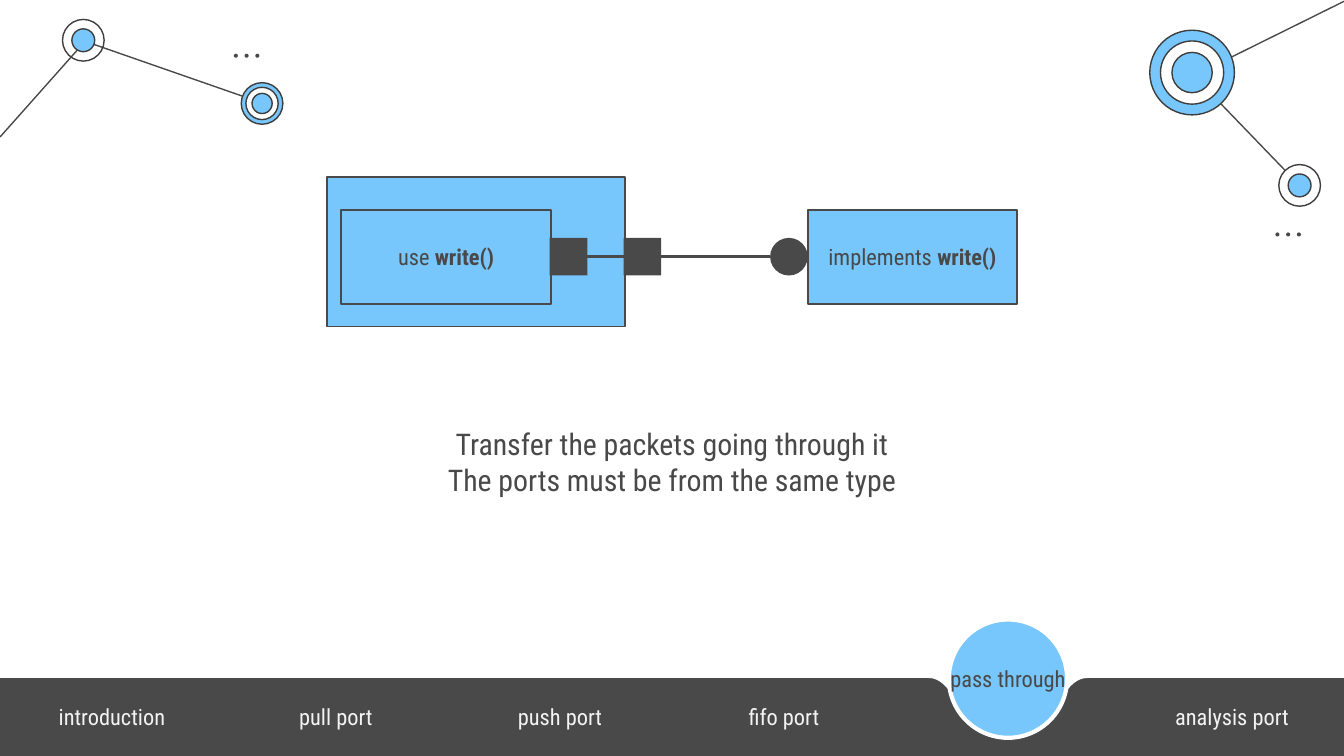
from pptx import Presentation
from pptx.dml.color import RGBColor
from pptx.enum.shapes import MSO_CONNECTOR, MSO_SHAPE
from pptx.enum.text import MSO_ANCHOR, MSO_AUTO_SIZE, PP_ALIGN
from pptx.oxml.ns import qn
from pptx.util import Inches, Pt
from lxml.etree import SubElement

COLORS = {k: RGBColor.from_string(v) for k, v in {
    "dark": "494949", "ring": "3D3D3D", "blue": "77C6FC",
    "white": "FFFFFF", "nav": "F3F3F3"}.items()}
FONT = "Roboto Condensed"

prs = Presentation()
prs.slide_width, prs.slide_height = Inches(10), Inches(5.625)
s = prs.slides.add_slide(prs.slide_layouts[1])
s.shapes.title._element.getparent().remove(s.shapes.title._element)


def paint(sp, fill=None, line=None, width=0.75):
    sp.shadow.inherit = False
    if fill:
        sp.fill.solid()
        sp.fill.fore_color.rgb = COLORS[fill]
    else:
        sp.fill.background()
    if line:
        sp.line.color.rgb = COLORS[line]
        sp.line.width = Pt(width)
    else:
        sp.line.fill.background()
    return sp


def write(p, runs, size, color):
    """Fill a centred paragraph from (text, bold) pairs."""
    p.alignment = PP_ALIGN.CENTER
    for text, bold in runs:
        r = p.add_run()
        r.text = text
        r.font.color.rgb = COLORS[color]
        for name, value in {"name": FONT, "size": Pt(size), "bold": bold}.items():
            setattr(r.font, name, value)


# Network decoration: links, ringed nodes, dotted marks
links = []
for ends in ((9.67, 1.38, 8.87, 0.55), (0.64, 0.31, 1.96, 0.77),
             (0, 1.02, 0.64, 0.3), (10, 0.01, 8.91, 0.55)):
    cx = s.shapes.add_connector(MSO_CONNECTOR.STRAIGHT, *map(Inches, ends))
    links.append((cx, 0.75))

nodes = (
    (0.62, 0.3, ((0.31, None), (0.17, "blue"))),
    (1.95, 0.77, ((0.31, "blue"), (0.24, "white"), (0.15, "blue"))),
    (8.87, 0.54, ((0.63, "blue"), (0.47, "white"), (0.3, "blue"))),
    (9.67, 1.38, ((0.31, "white"), (0.17, "blue"))),
)
for x, y, rings in nodes:
    for d, fill in rings:
        box = map(Inches, (x - d / 2, y - d / 2, d, d))
        paint(s.shapes.add_shape(MSO_SHAPE.OVAL, *box), fill, "ring")

for x, y in ((1.74, 0.4), (9.49, 1.73)):
    for i in range(3):
        box = map(Inches, (x + 0.08 * i, y, 0.03, 0.03))
        paint(s.shapes.add_shape(MSO_SHAPE.OVAL, *box), "dark")

# Navigation bar with a notch around the current section
col, bar_h = prs.slide_width / 6, Inches(0.58)
bar_top = prs.slide_height - bar_h
paint(s.shapes.add_shape(MSO_SHAPE.RECTANGLE, 0, bar_top, prs.slide_width, bar_h), "dark")

ctrl = ((0.42, 0.12), (0.47, 0.04), (0.53, 0), (0.59, 0))
curve = []
for i in range(13):
    t = i / 12
    weights = ((1 - t) ** 3, 3 * t * (1 - t) ** 2, 3 * t ** 2 * (1 - t), t ** 3)
    curve.append([sum(w * c[k] for w, c in zip(weights, ctrl)) for k in (0, 1)])
outline = [(0.59, 0), (0.34, 0), (0.34, 0.15), (0.41, 0.15)] + curve
for side in (-1, 1):
    pts = [(Inches(7.5 + side * x), bar_top + Inches(y)) for x, y in outline]
    fb = s.shapes.build_freeform(*pts[0], scale=1.0)
    fb.add_line_segments(pts[1:], close=True)
    paint(fb.convert_to_shape(), "white")
box = map(Inches, (7.06, 4.61, 0.88, 0.88))
paint(s.shapes.add_shape(MSO_SHAPE.OVAL, *box), "blue", "white", 2.25)

sections = ("introduction", "pull port", "push port", "fifo port",
            "pass through", "analysis port")
for i, name in enumerate(sections):
    current = name == "pass through"
    top = Inches(4.76) if current else bar_top
    tf = s.shapes.add_textbox(int(col * i), top, int(col), bar_h).text_frame
    tf.word_wrap, tf.vertical_anchor = True, MSO_ANCHOR.MIDDLE
    write(tf.paragraphs[0], [(name, False)], 12, "dark" if current else "nav")

# Explanation
body = s.placeholders[1]
body.left, body.top, body.width, body.height = map(Inches, (2.37, 3.07, 5.26, 1.24))
tf = body.text_frame
for name, value in {"auto_size": MSO_AUTO_SIZE.NONE, "vertical_anchor": MSO_ANCHOR.TOP,
                    "margin_top": Inches(0.1), "margin_bottom": Inches(0.1)}.items():
    setattr(tf, name, value)
for i, text in enumerate(("Transfer the packets going through it",
                          "The ports must be from the same type")):
    p = tf.add_paragraph() if i else tf.paragraphs[0]
    pPr = p._p.get_or_add_pPr()
    pPr.set("marL", "0")
    pPr.set("indent", "0")
    SubElement(pPr, qn("a:buNone"))
    p.space_before = Pt(0)
    write(p, [(text, False)], 16, "dark")

# Port diagram
box = map(Inches, (2.43, 1.32, 2.22, 1.11))
paint(s.shapes.add_shape(MSO_SHAPE.RECTANGLE, *box), "blue", "dark", 1)
for x, verb in ((2.54, "use "), (6.01, "implements ")):
    box = map(Inches, (x, 1.56, 1.56, 0.7))
    sp = paint(s.shapes.add_shape(MSO_SHAPE.RECTANGLE, *box), "blue", "dark", 1)
    sp.text_frame.vertical_anchor = MSO_ANCHOR.MIDDLE
    write(sp.text_frame.paragraphs[0], [(verb, False), ("write()", True)], 12, "dark")

ports = []
for x, kind in ((4.09, MSO_SHAPE.RECTANGLE), (4.64, MSO_SHAPE.RECTANGLE),
                (5.73, MSO_SHAPE.OVAL)):
    box = map(Inches, (x, 1.77, 0.28, 0.28))
    ports.append(paint(s.shapes.add_shape(kind, *box), "dark"))

for a, b in zip(ports, ports[1:]):
    y = a.top + a.height // 2
    cx = s.shapes.add_connector(MSO_CONNECTOR.STRAIGHT, a.left + a.width, y, b.left, y)
    cx.begin_connect(a, 3)
    if b.auto_shape_type == MSO_SHAPE.RECTANGLE:
        cx.end_connect(b, 1)
    links.append((cx, 1.5))

for cx, width in links:
    cx.line.color.rgb = COLORS["dark"]
    cx.line.width = Pt(width)
    SubElement(cx._element.spPr, qn("a:effectLst"))

prs.save("out.pptx")
